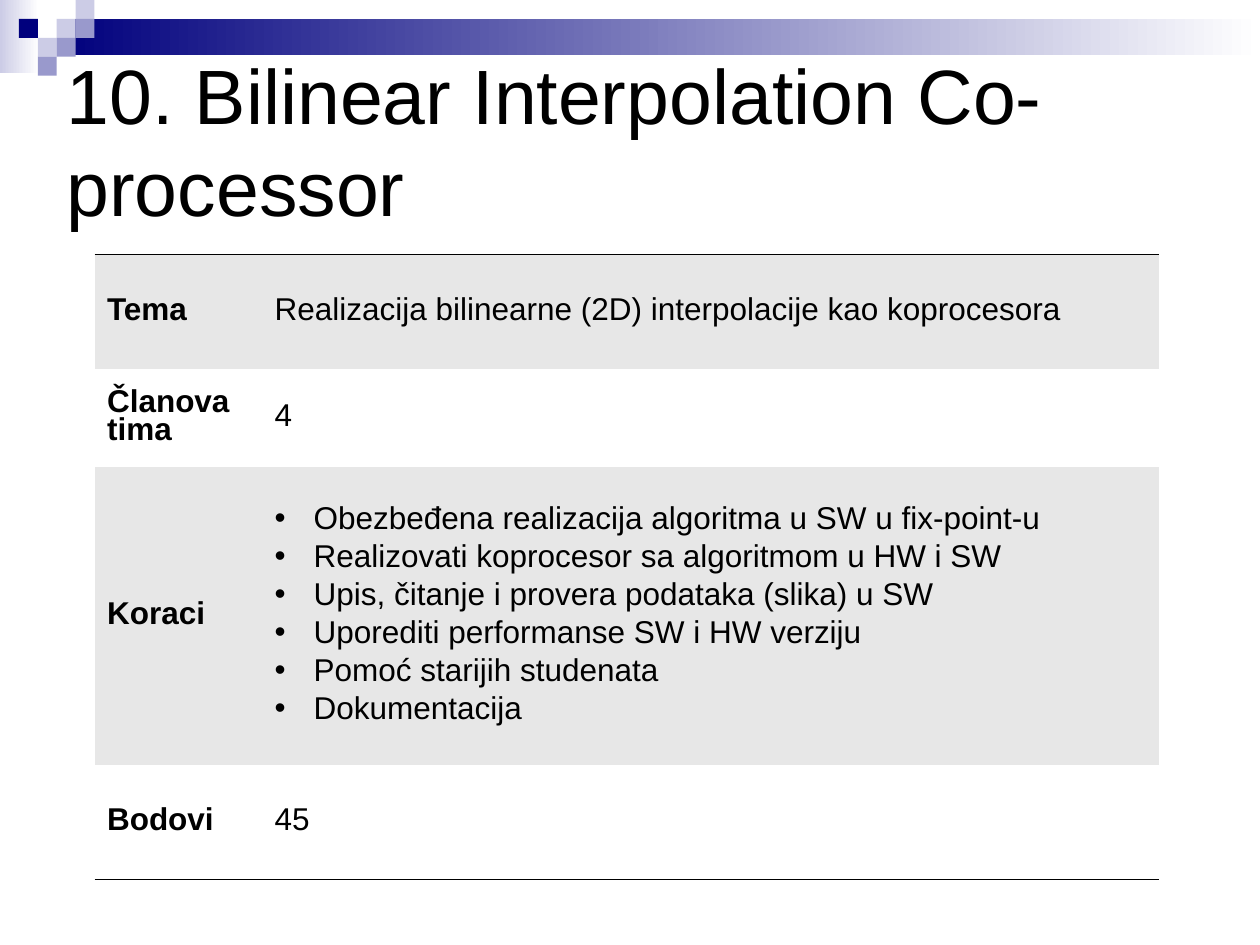
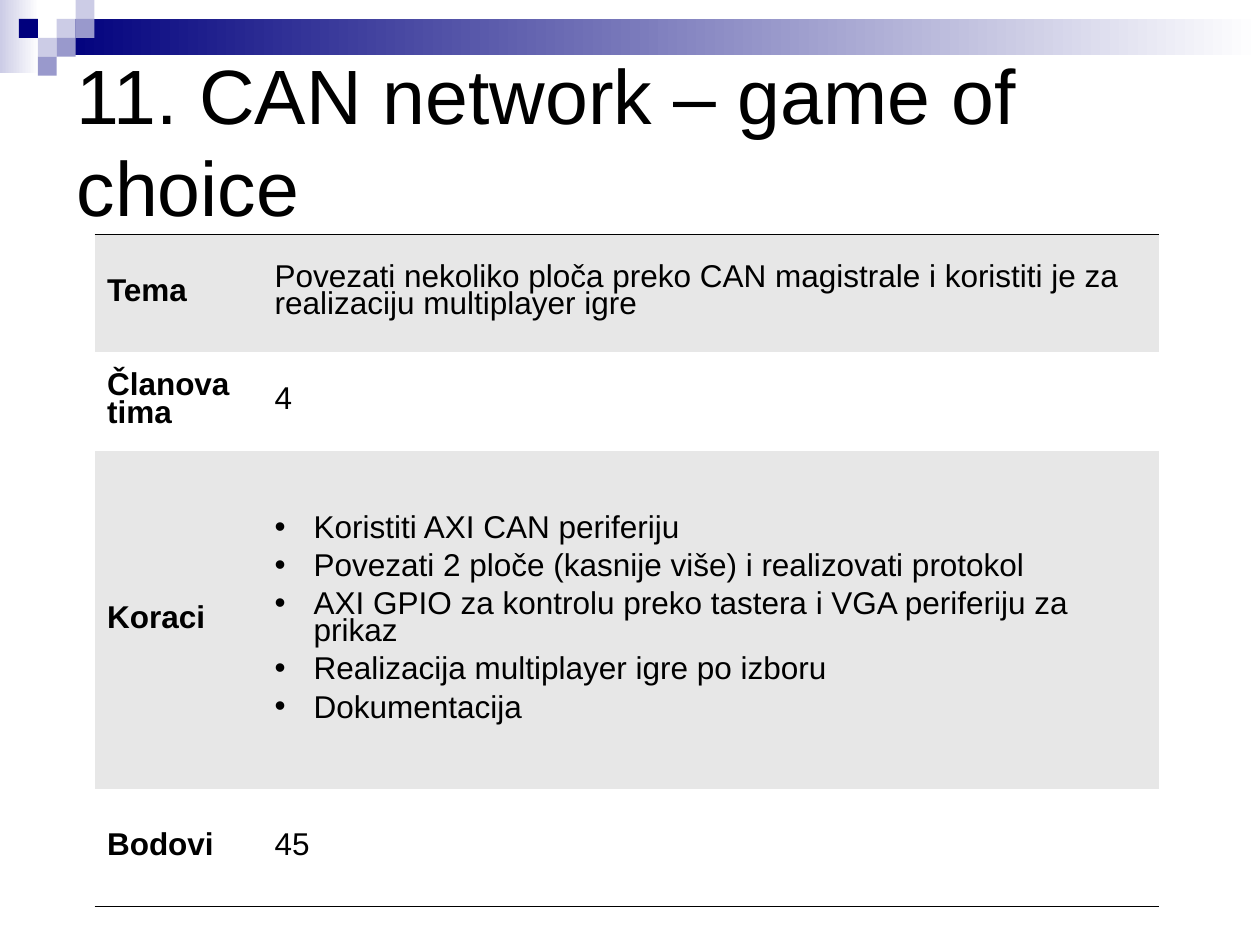
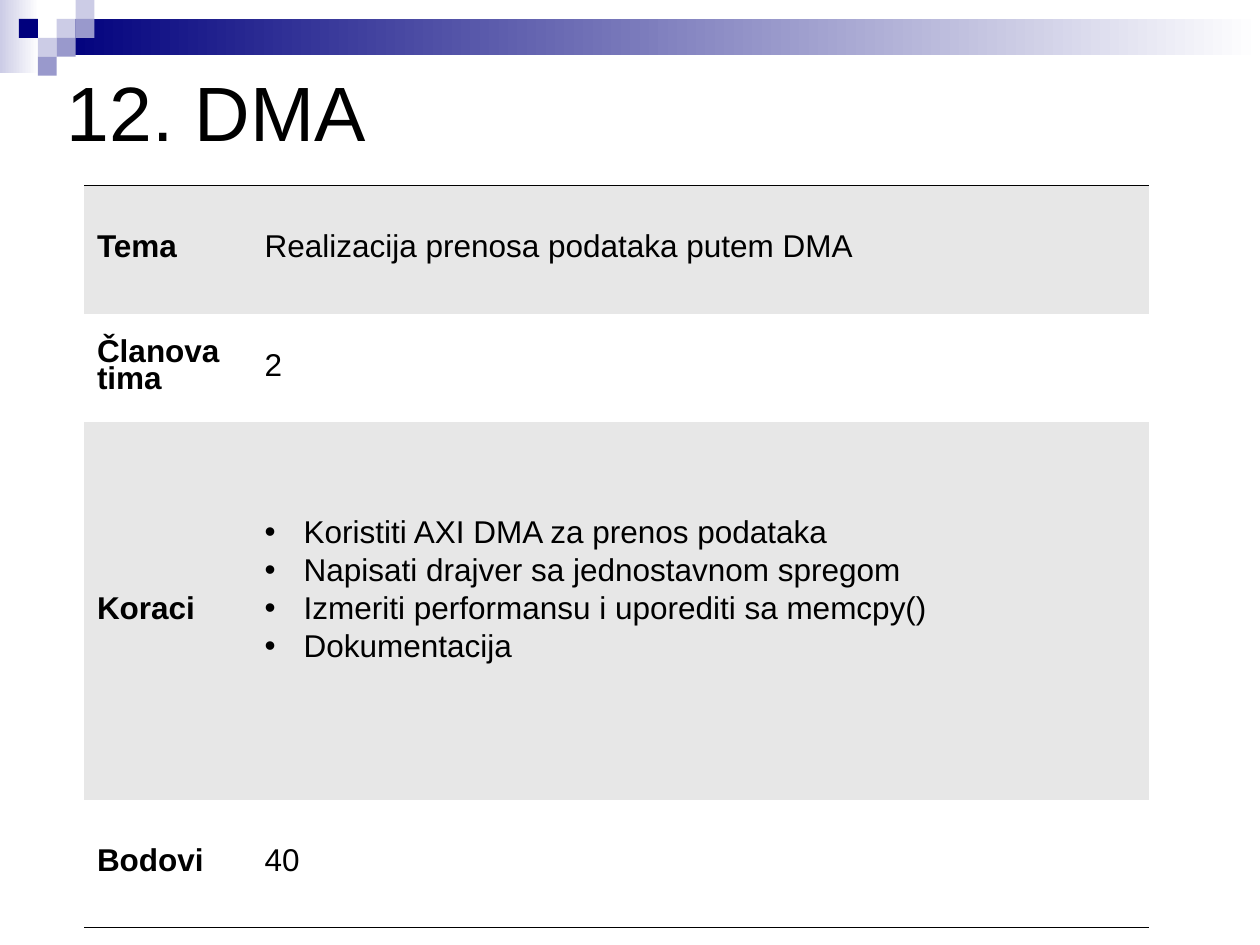
from lxml.etree import SubElement
from pptx import Presentation
from pptx.dml.color import RGBColor
from pptx.enum.shapes import MSO_SHAPE
from pptx.enum.text import MSO_ANCHOR
from pptx.oxml import parse_xml
from pptx.oxml.ns import nsdecls, qn
from pptx.util import Inches, Pt

NAVY, LILAC, PALE, WHITE = "00007D", "9999CC", "CCCCE6", "FFFFFF"
BLACK, GREY = "000000", "E7E7E7"
FONT = "Arial"
NO_STYLE = "{2D5ABB26-0587-4C30-8999-92F81FD0307C}"
UNIT = 0.15  # side of one square in the corner mosaic

# left, top, width, height, colours (two make a gradient)
BANDS = [
    (0, 0, 0.31, 0.58, (PALE, WHITE)),
    (3 * UNIT, UNIT, 10 - 3 * UNIT, 0.29, (NAVY, WHITE)),
]
# column, row, colour
SQUARES = [(3, 1, PALE), (4, 0, PALE), (4, 1, LILAC), (2, 2, PALE),
           (1, 1, NAVY), (3, 2, LILAC), (2, 3, LILAC)]
MOSAIC = BANDS + [(column * UNIT, row * UNIT, UNIT, UNIT, (color,))
                  for column, row, color in SQUARES]

LABELS = ["Tema", "Članova tima", "Koraci", "Bodovi"]
STEPS_ROW = LABELS.index("Koraci")
COLUMN_WIDTHS = [1.33, 7.12]

PROJECTS = [
    {
        "title": "10. Bilinear Interpolation Co-processor",
        "title_at": (0.43, 0.36),
        "table_at": (0.75, 2.02),
        "rows": [0.91, 0.78, 2.36, 0.91],
        "topic": "Realizacija bilinearne (2D) interpolacije kao koprocesora",
        "members": "4",
        "steps": ["Obezbeđena realizacija algoritma u SW u fix-point-u",
                  "Realizovati koprocesor sa algoritmom u HW i SW",
                  "Upis, čitanje i provera podataka (slika) u SW",
                  "Uporediti performanse SW i HW verziju",
                  "Pomoć starijih studenata",
                  "Dokumentacija"],
        "steps_bottom": 0.05,
        "points": "45",
    },
    {
        "title": "11. CAN network – game of choice",
        "title_at": (0.51, 0.36),
        "table_at": (0.75, 1.86),
        "rows": [0.93, 0.79, 2.68, 0.93],
        "topic": "Povezati nekoliko ploča preko CAN magistrale i koristiti je "
                 "za realizaciju multiplayer igre",
        "members": "4",
        "steps": ["Koristiti AXI CAN periferiju",
                  "Povezati 2 ploče (kasnije više) i realizovati protokol",
                  "AXI GPIO za kontrolu preko tastera i VGA periferiju za prikaz",
                  "Realizacija multiplayer igre po izboru",
                  "Dokumentacija"],
        "steps_bottom": 0.05,
        "points": "45",
    },
    {
        "title": "12. DMA",
        "title_at": (0.43, 0.13),
        "table_at": (0.67, 1.47),
        "rows": [1.02, 0.86, 3, 1.01],
        "topic": "Realizacija prenosa podataka putem DMA",
        "members": "2",
        "steps": ["Koristiti AXI DMA za prenos podataka",
                  "Napisati drajver sa jednostavnom spregom",
                  "Izmeriti performansu i uporediti sa memcpy()",
                  "Dokumentacija"],
        "steps_bottom": 0.35,
        "points": "40",
    },
]


def rgb(color):
    return RGBColor.from_string(color)


def add_run(paragraph, text, size, bold=False):
    run = paragraph.add_run()
    run.text = text
    run.font.name = FONT
    run.font.size = Pt(size)
    run.font.bold = bold
    run.font.color.rgb = rgb(BLACK)


presentation = Presentation()
presentation.slide_width = Inches(10)
presentation.slide_height = Inches(7.5)

for project in PROJECTS:
    slide = presentation.slides.add_slide(presentation.slide_layouts[6])

    for *box, colors in MOSAIC:
        shape = slide.shapes.add_shape(MSO_SHAPE.RECTANGLE, *map(Inches, box))
        shape.shadow.inherit = False
        shape.line.fill.background()
        if len(colors) == 1:
            shape.fill.solid()
            shape.fill.fore_color.rgb = rgb(colors[0])
        else:
            shape.fill.gradient()
            shape.fill.gradient_angle = 0
            for stop, color in zip(shape.fill.gradient_stops, colors):
                stop.color.rgb = rgb(color)

    title = slide.shapes.add_textbox(*map(Inches, project["title_at"]),
                                     Inches(9), Inches(1.5))
    title.text_frame.word_wrap = True
    title.text_frame.vertical_anchor = MSO_ANCHOR.MIDDLE
    add_run(title.text_frame.paragraphs[0], project["title"], 44)

    frame = slide.shapes.add_table(
        len(LABELS), len(COLUMN_WIDTHS), *map(Inches, project["table_at"]),
        Inches(sum(COLUMN_WIDTHS)), Inches(sum(project["rows"])))
    frame._element.find(".//" + qn("a:tableStyleId")).text = NO_STYLE
    table = frame.table
    table.first_row = table.horz_banding = False
    for column, width in zip(table.columns, COLUMN_WIDTHS):
        column.width = Inches(width)
    for row, height in zip(table.rows, project["rows"]):
        row.height = Inches(height)

    values = [[project["topic"]], [project["members"]],
              project["steps"], [project["points"]]]
    for row, (label, lines) in enumerate(zip(LABELS, values)):
        for column, texts in enumerate([[label], lines]):
            cell = table.cell(row, column)
            cell.vertical_anchor = MSO_ANCHOR.MIDDLE
            cell.fill.solid()
            cell.fill.fore_color.rgb = rgb(WHITE if row % 2 else GREY)
            is_steps = row == STEPS_ROW and column == 1
            if is_steps:
                cell.margin_bottom = Inches(project["steps_bottom"])

            for index, text in enumerate(texts):
                text_frame = cell.text_frame
                paragraph = text_frame.add_paragraph() if index else text_frame.paragraphs[0]
                paragraph.line_spacing = 0.78
                if is_steps:
                    paragraph.space_after = Pt(6)
                    properties = paragraph._p.get_or_add_pPr()
                    properties.set("marL", str(Inches(0.31)))
                    properties.set("indent", str(-Inches(0.31)))
                    bullet_color = SubElement(properties, qn("a:buClr"))
                    SubElement(bullet_color, qn("a:srgbClr"), val=BLACK)
                    SubElement(properties, qn("a:buFont"), typeface=FONT)
                    SubElement(properties, qn("a:buChar"), char="•")
                add_run(paragraph, text, 18, bold=column == 0)

            # rules above the first row and below the last
            edge = {0: "lnT", len(LABELS) - 1: "lnB"}.get(row)
            if edge:
                cell._tc.get_or_add_tcPr().insert(0, parse_xml(
                    f'<a:{edge} {nsdecls("a")} w="{Pt(0.06)}"><a:solidFill>'
                    f'<a:srgbClr val="{BLACK}"/></a:solidFill></a:{edge}>'))

presentation.save("out.pptx")
